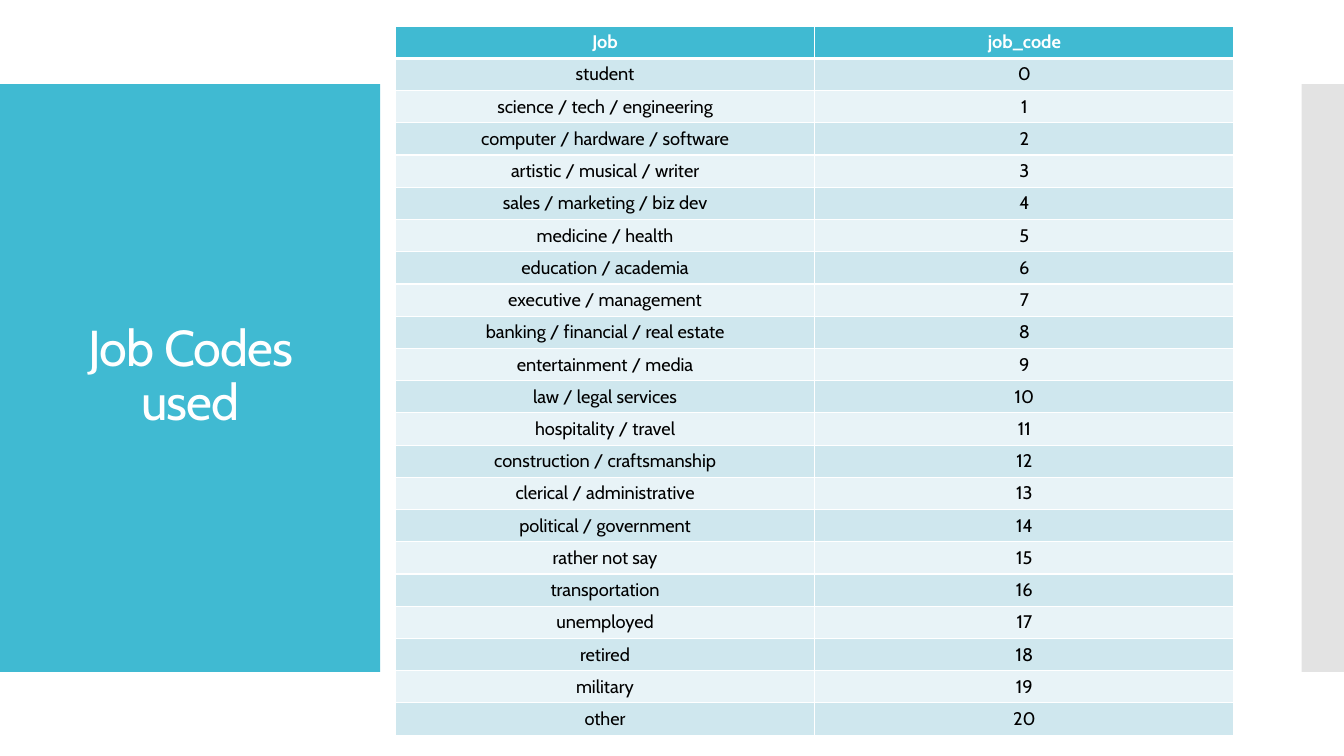
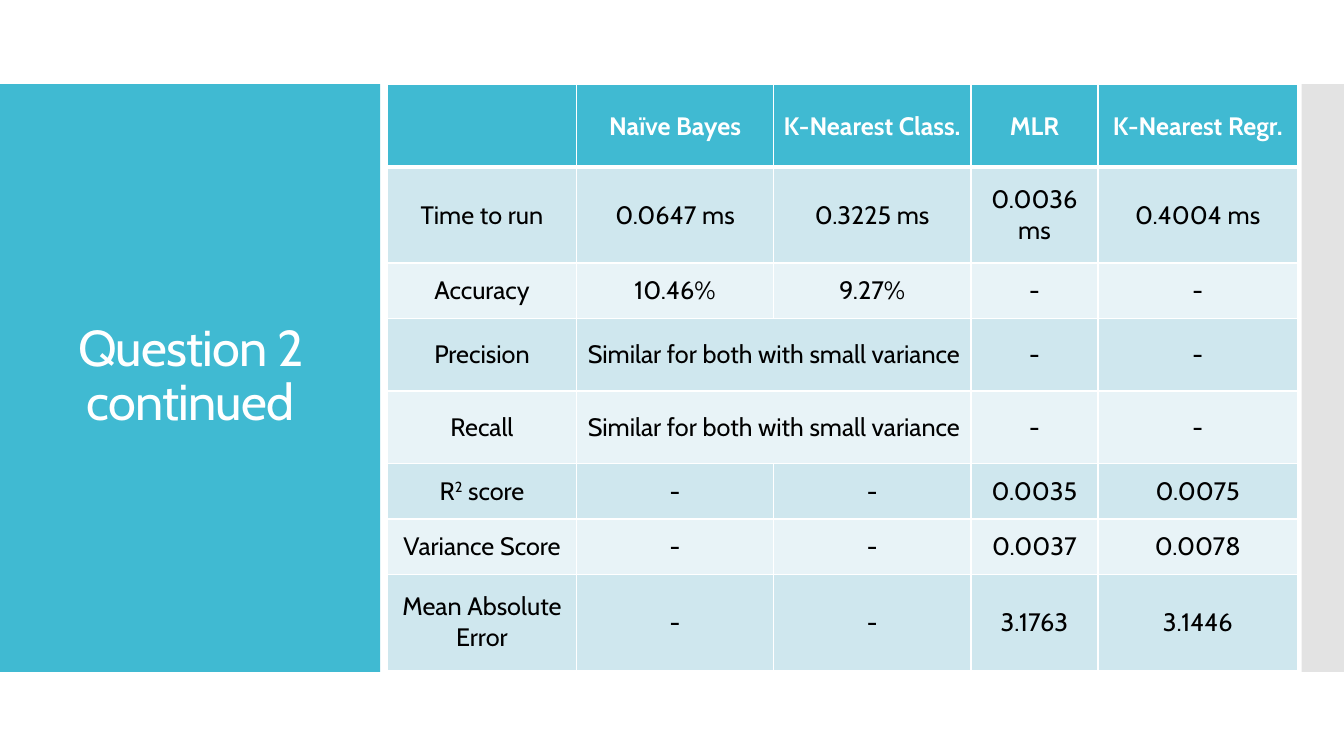
"""Build two slides with a title panel on the left and a banded table."""
from lxml import etree
from pptx import Presentation
from pptx.dml.color import RGBColor
from pptx.enum.shapes import MSO_SHAPE
from pptx.enum.text import MSO_ANCHOR, PP_ALIGN
from pptx.oxml.ns import qn
from pptx.util import Inches, Pt

JOBS = [
    "student", "science / tech / engineering", "computer / hardware / software",
    "artistic / musical / writer", "sales / marketing / biz dev", "medicine / health",
    "education / academia", "executive / management", "banking / financial / real estate",
    "entertainment / media", "law / legal services", "hospitality / travel",
    "construction / craftsmanship", "clerical / administrative", "political / government",
    "rather not say", "transportation", "unemployed", "retired", "military", "other",
]
JOB_ROWS = [("Job", "job_code")] + [(job, str(code)) for code, job in enumerate(JOBS)]
SIMILAR = "Similar for both with small variance"
SUPERSCRIPT_TWO = ("2", 30000)
SCORE_ROWS = [
    ("", "Naïve Bayes", "K-Nearest Class.", "MLR", "K-Nearest Regr."),
    ("Time to run", "0.0647 ms", "0.3225 ms", "0.0036 ms", "0.4004 ms"),
    ("Accuracy", "10.46%", "9.27%", "-", "-"),
    ("Precision", SIMILAR, None, "-", "-"),
    ("Recall", SIMILAR, None, "-", "-"),
    (("R", SUPERSCRIPT_TWO, " score"), "-", "-", "0.0035", "0.0075"),
    ("Variance Score", "-", "-", "0.0037", "0.0078"),
    ("Mean Absolute Error", "-", "-", "3.1763", "3.1446"),
]
SLIDES = [
    {"title": "Job Codes used", "rows": JOB_ROWS, "size": 13, "left": 3.92, "top": 0.26,
     "widths": [4.16] * 2, "heights": [0.32] * len(JOB_ROWS)},
    {"title": "Question 2 continued", "rows": SCORE_ROWS, "size": 18, "left": 3.84, "top": 0.84,
     "widths": [1.88, 1.95, 1.96, 1.26, 1.98],
     "heights": [0.82, 0.95, 0.55, 0.72, 0.72, 0.55, 0.55, 0.95]},
]

WIDTH, HEIGHT = 13.33, 7.5
BAND_TOP, BAND_HEIGHT = HEIGHT / 9, HEIGHT * 7 / 9
PANEL_WIDTH, STRIP_WIDTH = 3.77, 0.42
FONT = "Cabin"
TEAL = RGBColor(0x40, 0xBA, 0xD2)
DARK_BAND = RGBColor(0xCF, 0xE7, 0xEE)
LIGHT_BAND = RGBColor(0xE8, 0xF3, 0xF7)
GREY = RGBColor(0xC8, 0xC8, 0xC8)
WHITE = RGBColor(0xFF, 0xFF, 0xFF)
BLACK = RGBColor(0, 0, 0)
RECTANGLE = MSO_SHAPE.RECTANGLE
MIDDLE, CENTER = MSO_ANCHOR.MIDDLE, PP_ALIGN.CENTER


def add_run(paragraph, text, size, color, bold=False):
    run = paragraph.add_run()
    run.text = text
    run.font.name, run.font.size, run.font.bold = FONT, Pt(size), bold
    run.font.color.rgb = color
    return run._r.get_or_add_rPr()


def add_band(slide, left, width, color, opacity=100):
    band = slide.shapes.add_shape(
        RECTANGLE, Inches(left), Inches(BAND_TOP), Inches(width), Inches(BAND_HEIGHT))
    band.shadow.inherit = False
    band.fill.solid()
    band.fill.fore_color.rgb = color
    band.line.fill.background()
    if opacity < 100:
        fill_color = band._element.spPr.find(f"{qn('a:solidFill')}/{qn('a:srgbClr')}")
        etree.SubElement(fill_color, qn("a:alpha"), val=str(opacity * 1000))


def add_title(slide, text):
    box = slide.shapes.add_textbox(Inches(0.28), Inches(1.23), Inches(3.22), Inches(5.03))
    frame = box.text_frame
    frame.word_wrap, frame.vertical_anchor = True, MIDDLE
    paragraph = frame.paragraphs[0]
    paragraph.alignment, paragraph.line_spacing = CENTER, 0.9
    add_run(paragraph, text, 36, WHITE).set("spc", "-60")


def set_borders(cell, top, bottom):
    properties = cell._tc.get_or_add_tcPr()
    sides = (("L", 1), ("R", 1), ("T", top), ("B", bottom))
    for position, (side, points) in enumerate(sides):
        line = etree.Element(qn(f"a:ln{side}"), w=str(Pt(points)))
        fill = etree.SubElement(line, qn("a:solidFill"))
        etree.SubElement(fill, qn("a:srgbClr"), val=str(WHITE))
        properties.insert(position, line)


def fill_cell(cell, content, row_number, size):
    header = row_number == 0
    cell.fill.solid()
    cell.fill.fore_color.rgb = TEAL if header else DARK_BAND if row_number % 2 else LIGHT_BAND
    set_borders(cell, 3 if row_number == 1 else 1, 3 if header else 1)
    cell.vertical_anchor = MIDDLE
    paragraph = cell.text_frame.paragraphs[0]
    paragraph.alignment = CENTER
    if not content:
        return
    for part in content if isinstance(content, tuple) else (content,):
        text, baseline = part if isinstance(part, tuple) else (part, 0)
        properties = add_run(paragraph, text, size, WHITE if header else BLACK, header)
        if baseline:
            properties.set("baseline", str(baseline))


def add_banded_table(slide, rows, size, left, top, widths, heights):
    table = slide.shapes.add_table(
        len(rows), len(widths), Inches(left), Inches(top),
        Inches(sum(widths)), Inches(sum(heights))).table
    table.horz_banding = False
    for column, width in zip(table.columns, widths):
        column.width = Inches(width)
    for row, height in zip(table.rows, heights):
        row.height = Inches(height)
    for row_number, contents in enumerate(rows):
        for column_number, content in enumerate(contents):
            cell = table.cell(row_number, column_number)
            fill_cell(cell, content, row_number, size)
            if content is None:
                table.cell(row_number, column_number - 1).merge(cell)


def build_slide(presentation, title, **table_settings):
    slide = presentation.slides.add_slide(presentation.slide_layouts[6])
    add_band(slide, 0, PANEL_WIDTH, TEAL)
    add_band(slide, WIDTH - STRIP_WIDTH, STRIP_WIDTH, GREY, opacity=50)
    add_title(slide, title)
    add_banded_table(slide, **table_settings)


presentation = Presentation()
presentation.slide_width, presentation.slide_height = Inches(WIDTH), Inches(HEIGHT)
for settings in SLIDES:
    build_slide(presentation, **settings)
presentation.save("out.pptx")
